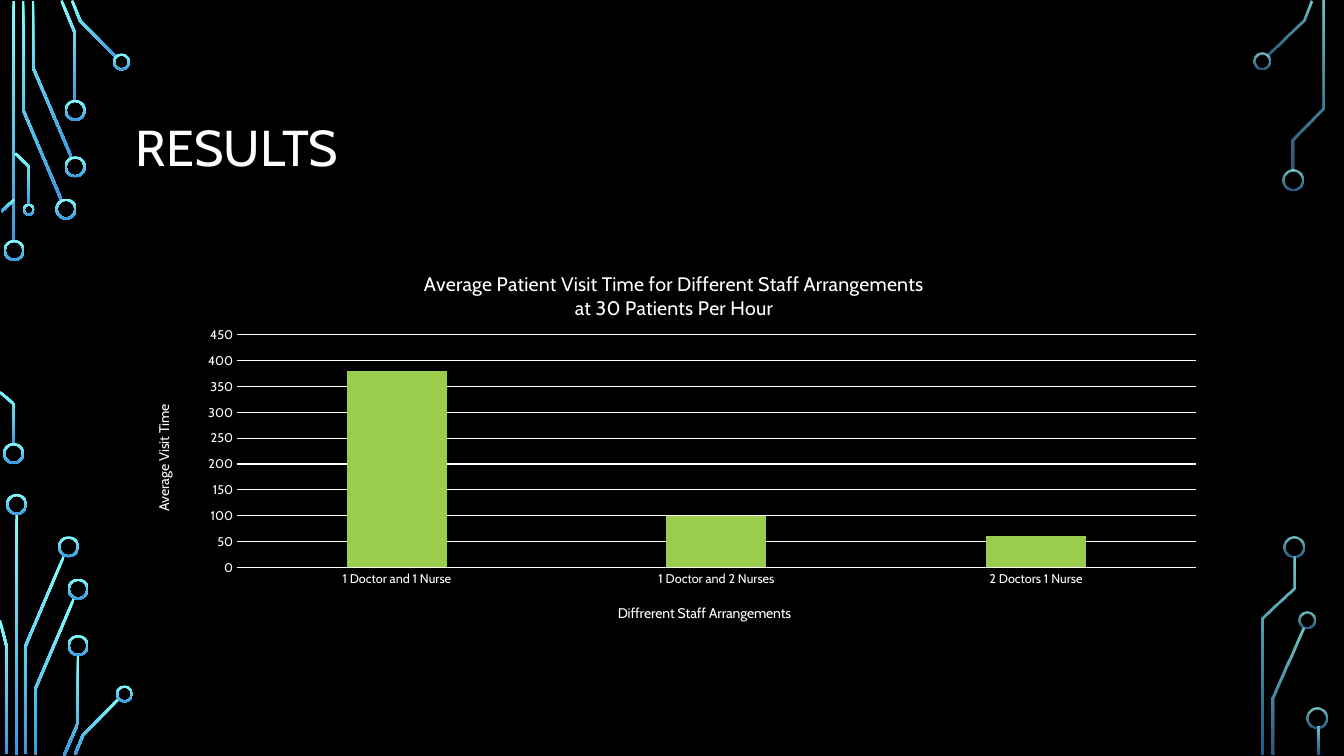
from math import hypot

from lxml import etree
from pptx import Presentation
from pptx.chart.data import CategoryChartData
from pptx.dml.color import RGBColor
from pptx.enum.chart import XL_CHART_TYPE, XL_TICK_MARK
from pptx.enum.shapes import MSO_SHAPE
from pptx.enum.text import MSO_ANCHOR
from pptx.oxml.ns import qn
from pptx.util import Inches, Pt

COLUMNS = CLUSTERED = XL_CHART_TYPE.COLUMN_CLUSTERED
NO_TICKS = XL_TICK_MARK.NONE
DONUT = MSO_SHAPE.DONUT
MIDDLE = MSO_ANCHOR.MIDDLE
FONT = "Cabin"
COLORS = {name: RGBColor.from_string(value) for name, value in {
    "background": "000000", "text": "FFFFFF", "bar": "9ACD4C",
    "glow": "82FFFF", "deep": "3D97DE"}.items()}

deck = Presentation()
deck.slide_width, deck.slide_height = Inches(13.33), Inches(7.5)
page = deck.slides.add_slide(deck.slide_layouts[6])
page.background.fill.solid()
page.background.fill.fore_color.rgb = COLORS["background"]

# The page is a grid of 1333 columns by 750 rows with square cells
CELL = deck.slide_width / 1333
STROKE = 2.5
RING_WALL = 2.1


def paint_circuit(shape, opacities):
    """Fill a circuit part with the vertical glow gradient."""
    shape.shadow.inherit = False
    shape.line.fill.background()
    shape.fill.gradient()
    shape.fill.gradient_angle = 270
    for stop, name, opacity in zip(shape.fill.gradient_stops, ("glow", "deep"), opacities):
        stop.color.rgb = COLORS[name]
        if opacity < 100:
            for color in shape._element.spPr.iter(qn("a:srgbClr")):
                if color.get("val") == str(COLORS[name]):
                    etree.SubElement(color, qn("a:alpha")).set("val", str(opacity * 1000))


def set_layout(element, position, **values):
    """Place a chart part by shares of the chart's size."""
    layout = element.find(qn("c:layout"))
    if layout is None:
        layout = etree.Element(qn("c:layout"))
        element.insert(position, layout)
    manual = etree.SubElement(layout, qn("c:manualLayout"))
    for tag, value in values.items():
        etree.SubElement(manual, qn("c:" + tag)).set("val", str(value))


# Circuit: centre lines of the traces, then rings as (x, y, diameter)
circuits = [
    {"opacities": (100, 100),
     "traces": [
         [(13.5, 1), (13.5, 240)],
         [(23, 1), (23, 109), (61, 198.5)],
         [(32.5, 1), (32.5, 66.5), (71, 156.5)],
         [(61, 0.5), (74.5, 33), (74.5, 100)],
         [(71.5, 0.5), (79.5, 20.5), (115.5, 57)],
         [(1.5, 210), (14, 198)],
         [(0, 389), (14, 401), (14, 441)],
         [(15, 152), (29, 165.5), (29, 203)],
         [(16.5, 510), (16.5, 749)],
         [(63.5, 551.5), (25.5, 640.5), (25.5, 748)],
         [(0, 615.5), (6.5, 641), (6.5, 748)],
         [(73.5, 593.5), (35.5, 682.5), (35.5, 749)],
         [(77.5, 650), (77.5, 717), (63.5, 749.5)],
         [(118, 693), (82.5, 729), (74.5, 748.5)]],
     "rings": [
         (14, 248.5, 21), (13.5, 450, 21), (65.5, 207.5, 21), (74.5, 165.5, 21),
         (74.5, 109.5, 21), (120.5, 61.5, 17), (28.5, 208, 12), (16.5, 500.5, 21),
         (68, 542.5, 21), (77.5, 584.5, 21), (77.5, 640.5, 21), (123.5, 688.5, 17)]},
    {"opacities": (80, 60),
     "traces": [
         [(1300.5, 0.5), (1293, 20), (1257, 55.5)],
         [(1293, 623.5), (1262.5, 693), (1262.5, 749)],
         [(1312.5, 1), (1312.5, 107.5), (1282, 138.5), (1282, 169)],
         [(1283.5, 552), (1283.5, 583.5), (1252.5, 613.5), (1252.5, 749)],
         [(1307.5, 721), (1307.5, 749)]],
     "rings": [
         (1251.5, 60.5, 17), (1282.5, 178.5, 21), (1296.5, 615.5, 17),
         (1283, 542.5, 21), (1306.5, 712, 21)]},
]

for circuit in circuits:
    for trace in circuit["traces"]:
        # Widen the centre line to a band with mitred corners
        normals = []
        for (x1, y1), (x2, y2) in zip(trace, trace[1:]):
            length = hypot(x2 - x1, y2 - y1)
            normals.append(((y1 - y2) / length, (x2 - x1) / length))
        left_edge, right_edge = [], []
        for (x, y), (ax, ay), (bx, by) in zip(trace, normals[:1] + normals, normals + normals[-1:]):
            reach = STROKE / 2 / (1 + ax * bx + ay * by)
            dx, dy = (ax + bx) * reach, (ay + by) * reach
            left_edge.append(((x + dx) * CELL, (y + dy) * CELL))
            right_edge.append(((x - dx) * CELL, (y - dy) * CELL))
        outline = left_edge + right_edge[::-1]
        builder = page.shapes.build_freeform(*outline[0])
        builder.add_line_segments(outline[1:], close=True)
        paint_circuit(builder.convert_to_shape(), circuit["opacities"])
    for x, y, diameter in circuit["rings"]:
        box = [round(value * CELL) for value in
               (x - diameter / 2, y - diameter / 2, diameter, diameter)]
        ring = page.shapes.add_shape(DONUT, *box)
        ring.adjustments[0] = RING_WALL / diameter
        paint_circuit(ring, circuit["opacities"])

# Heading
heading = page.shapes.add_textbox(*[round(value * CELL) for value in (125, 68, 1083, 162)])
heading.text_frame.word_wrap = True
heading.text_frame.vertical_anchor = MIDDLE
para = heading.text_frame.paragraphs[0]
para.line_spacing = 0.9
span = para.add_run()
span.text = "RESULTS"
for name, value in {"name": FONT, "size": Pt(36)}.items():
    setattr(span.font, name, value)
span.font.color.rgb = COLORS["text"]

# Column chart
data = CategoryChartData()
data.categories = ["1 Doctor and 1 Nurse", "1 Doctor and 2 Nurses", "2 Doctors 1 Nurse"]
data.add_series("Series 1", (380, 100, 60))
chart_box = [round(value * CELL) for value in (125, 246, 1083, 387)]
chart = page.shapes.add_chart(CLUSTERED, *chart_box, data).chart
chart.has_legend = False
chart.font.name = FONT
chart.font.size = Pt(10)
chart.font.color.rgb = COLORS["text"]
plot = chart.plots[0]
for name, value in {"gap_width": 219, "overlap": -27, "vary_by_categories": False}.items():
    setattr(plot, name, value)
bars = plot.series[0].format.fill
bars.solid()
bars.fore_color.rgb = COLORS["bar"]
set_layout(chart._chartSpace.find(".//" + qn("c:plotArea")), 0, layoutTarget="inner",
           xMode="edge", yMode="edge", x=0.1017, y=0.223, w=0.878, h=0.596)

# Axes
category_axis, value_axis = chart.category_axis, chart.value_axis
scale = {"minimum_scale": 0, "maximum_scale": 450, "major_unit": 50, "has_major_gridlines": True}
for name, value in scale.items():
    setattr(value_axis, name, value)
for axis in (category_axis, value_axis):
    axis.major_tick_mark = axis.minor_tick_mark = NO_TICKS
    axis.tick_labels.font.name = FONT
    axis.tick_labels.font.size = Pt(9)
    axis.tick_labels.font.color.rgb = COLORS["text"]
for line in (category_axis.format.line, value_axis.major_gridlines.format.line):
    line.color.rgb = COLORS["text"]
    line.width = Pt(0.75)
value_axis.format.line.fill.background()

# Chart and axis titles: owner, text, size, left and top shares
titles = [
    (chart.chart_title,
     "Average Patient Visit Time for Different Staff Arrangements\nat 30 Patients Per Hour",
     14, 0.27, 0.05),
    (category_axis.axis_title, "Diffrerent Staff Arrangements", 10, 0.448, 0.903),
    (value_axis.axis_title, "Average Visit Time", 10, 0.023, 0.395),
]
for title, text, size, left, top in titles:
    title.text_frame.text = text
    for para in title.text_frame.paragraphs:
        for span in para.runs:
            for name, value in {"name": FONT, "size": Pt(size), "bold": False}.items():
                setattr(span.font, name, value)
            span.font.color.rgb = COLORS["text"]
    set_layout(title._element, 1, xMode="edge", yMode="edge", x=left, y=top)
turned = value_axis.axis_title.text_frame._txBody.find(qn("a:bodyPr"))
turned.set("rot", "-5400000")
turned.set("vert", "horz")

deck.save("out.pptx")
